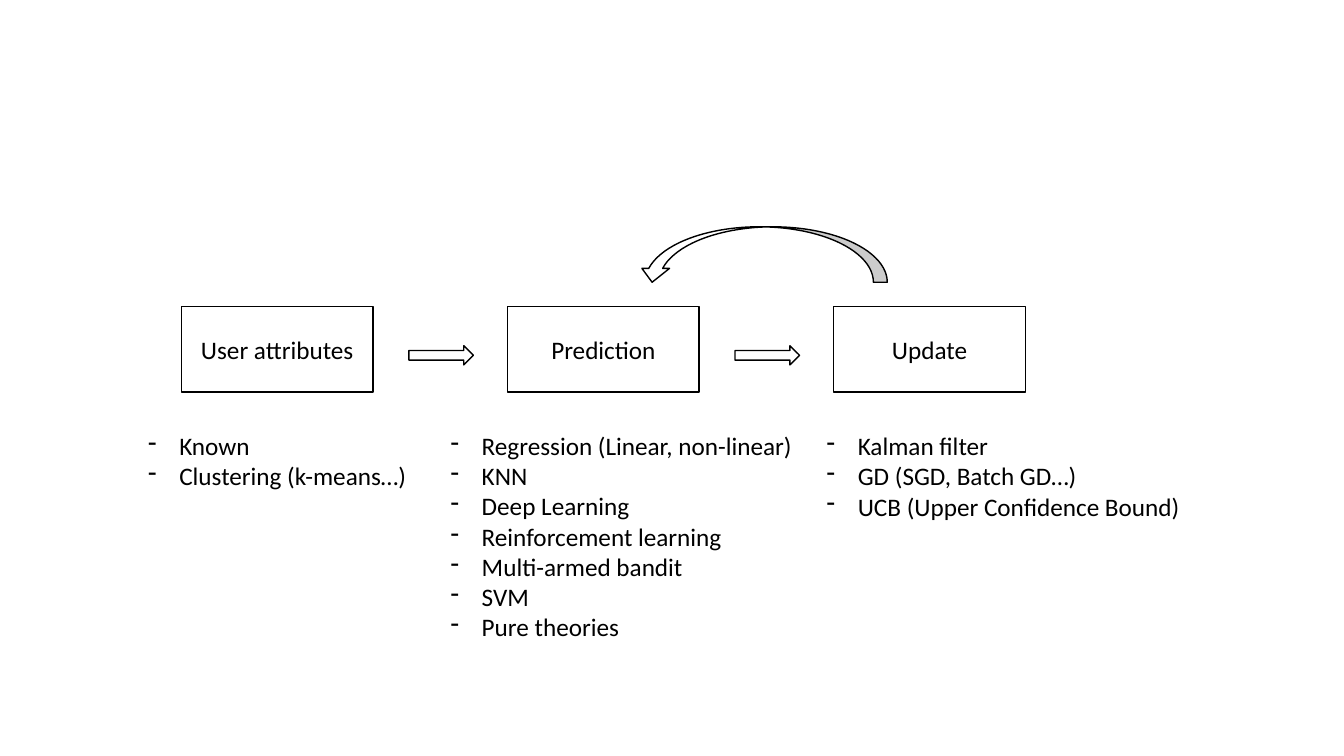
from lxml import etree
from pptx import Presentation
from pptx import util as u
from pptx.dml.color import RGBColor
from pptx.enum import shapes, text
from pptx.oxml import ns

BLACK = RGBColor(0, 0, 0)
WHITE = RGBColor(255, 255, 255)
FONT = {"name": "Calibri", "size": u.Pt(18)}
KIND = shapes.MSO_SHAPE
LEFT, STEP, TOP = 1.8, 3.235, 3.04
WIDE, HIGH = 1.9, 0.85
STAGES = [
    ("User attributes", (1.37, 4.22, 2.9, 0.71),
     ["Known", "Clustering (k-means…)"]),
    ("Prediction", (4.37, 4.22, 4.33, 2.83),
     ["Regression (Linear, non-linear)", "KNN", "Deep Learning",
      "Reinforcement learning", "Multi-armed bandit", "SVM", "Pure theories"]),
    ("Update", (8.1, 4.22, 4.33, 1.62),
     ["Kalman filter", "GD (SGD, Batch GD…)", "UCB (Upper Confidence Bound)"]),
]


def write(para, words):
    """Put styled words in a paragraph."""
    run = para.add_run()
    run.text = words
    for key, value in FONT.items():
        setattr(run.font, key, value)
    run.font.color.rgb = BLACK


def draw(slide, kind, box):
    """Add a white shape with a thin black outline."""
    shape = slide.shapes.add_shape(kind, *map(u.Inches, box))
    shape.shadow.inherit = False
    shape.fill.solid()
    shape.fill.fore_color.rgb = WHITE
    shape.line.color.rgb = BLACK
    shape.line.width = u.Pt(1)
    return shape


def add_stage(slide, box, title):
    """Add a stage box with its centred title."""
    frame = draw(slide, KIND.RECTANGLE, box).text_frame
    frame.vertical_anchor = text.MSO_ANCHOR.MIDDLE
    para = frame.paragraphs[0]
    para.alignment = text.PP_ALIGN.CENTER
    write(para, title)


def add_list(slide, box, items):
    """Add a dashed list of methods."""
    frame = slide.shapes.add_textbox(*map(u.Inches, box)).text_frame
    frame.word_wrap = True
    for i, item in enumerate(items):
        para = frame.add_paragraph() if i else frame.paragraphs[0]
        write(para, item)
        props = para._p.get_or_add_pPr()
        indent = u.Inches(0.31)
        props.set("marL", str(indent))
        props.set("indent", str(-indent))
        etree.SubElement(props, ns.qn("a:buChar")).set("char", "-")


def add_flow(slide, left, top):
    """Add the stages, the arrows between them and their lists."""
    for i, (title, area, items) in enumerate(STAGES):
        x = left + i * STEP
        add_stage(slide, (x, top, WIDE, HIGH), title)
        add_list(slide, area, items)
        if i:
            draw(slide, KIND.RIGHT_ARROW, (x - 0.98, top + 0.39, 0.64, 0.19))


def add_loop(slide, box):
    """Add the curved arrow that leads back to prediction."""
    draw(slide, KIND.CURVED_RIGHT_ARROW, box).rotation = 90


def main():
    """Build and save the slide."""
    deck = Presentation()
    deck.slide_width, deck.slide_height = u.Inches(13.33), u.Inches(7.5)
    slide = deck.slides.add_slide(deck.slide_layouts[6])
    add_flow(slide, LEFT, TOP)
    add_loop(slide, (7.29, 1.29, 0.55, 2.47))
    deck.save("out.pptx")


if __name__ == "__main__":
    main()
